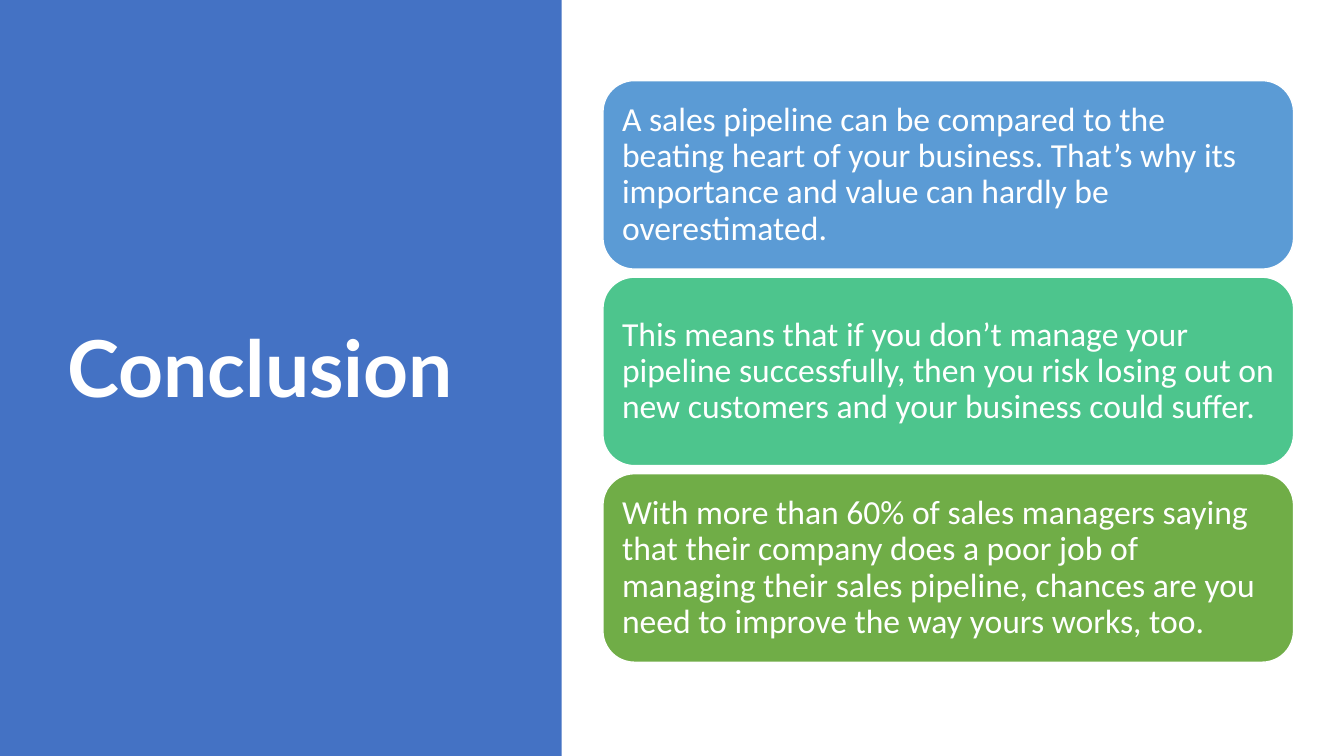
"""Build the conclusion slide: a title panel beside three takeaway cards."""
from dataclasses import dataclass

from pptx import Presentation
from pptx import util as u
from pptx.dml.color import RGBColor
from pptx.enum import shapes, text

COLORS = {
    "panel": "4472C4",
    "blue": "5B9BD5",
    "mint": "4DC58D",
    "green": "70AD47",
    "white": "FFFFFF",
}
CARD_TOP, CARD_HEIGHT, CARD_PITCH = 0.8, 1.87, 1.95


@dataclass
class Card:
    """One takeaway and its fill colour."""
    color: str
    wording: str


CARDS = [
    Card("blue", "A sales pipeline can be compared to the beating heart of your "
         "business. That’s why its importance and value can hardly be "
         "overestimated."),
    Card("mint", "This means that if you don’t manage your pipeline successfully, "
         "then you risk losing out on new customers and your business could "
         "suffer."),
    Card("green", "With more than 60% of sales managers saying that their company "
         "does a poor job of managing their sales pipeline, chances are you "
         "need to improve the way yours works, too."),
]


def rgb(name: str) -> RGBColor:
    """Return the named colour."""
    return RGBColor.from_string(COLORS[name])


def add_box(s, kind, left: float, top: float, width: float, height: float,
            color: str):
    """Add a flat filled shape without an outline."""
    sp = s.shapes.add_shape(kind, u.Inches(left), u.Inches(top),
                            u.Inches(width), u.Inches(height))
    sp.shadow.inherit = False
    sp.fill.solid()
    sp.fill.fore_color.rgb = rgb(color)
    sp.line.fill.background()
    return sp


def write(sp, wording: str, font: str, size: int, bold: bool = False) -> None:
    """Set white, left-aligned, vertically centred text in a shape."""
    tf = sp.text_frame
    tf.text = wording
    tf.word_wrap = True
    tf.auto_size = text.MSO_AUTO_SIZE.NONE
    tf.vertical_anchor = text.MSO_ANCHOR.MIDDLE
    p = tf.paragraphs[0]
    p.alignment = text.PP_ALIGN.LEFT
    p.line_spacing = 0.9
    r = p.runs[0]
    r.font.name = font
    r.font.size = u.Pt(size)
    r.font.bold = bold
    r.font.color.rgb = rgb("white")


def add_title(s, wording: str) -> None:
    """Place the title on its full-height panel."""
    panel = add_box(s, shapes.MSO_SHAPE.RECTANGLE, 0, 0, 5.57, 7.5, "panel")
    title = s.shapes.title
    panel.element.addnext(title.element)
    title.left, title.top = u.Inches(0.57), u.Inches(0.68)
    title.width, title.height = u.Inches(4.16), u.Inches(6.02)
    write(title, wording, "Lato", 56, bold=True)


def add_card(s, card: Card, top: float) -> None:
    """Add one rounded takeaway card."""
    sp = add_box(s, shapes.MSO_SHAPE.ROUNDED_RECTANGLE, 5.98, top, 6.85,
                 CARD_HEIGHT, card.color)
    sp.line.color.rgb = rgb("white")
    sp.line.width = u.Pt(1)
    write(sp, card.wording, "Calibri", 24)
    tf = sp.text_frame
    tf.margin_left = tf.margin_right = u.Inches(0.1)
    tf.margin_top = tf.margin_bottom = u.Inches(0.1)


def main() -> None:
    """Build and save the slide."""
    prs = Presentation()
    prs.slide_width, prs.slide_height = u.Inches(13.33), u.Inches(7.5)
    s = prs.slides.add_slide(prs.slide_layouts[5])
    add_title(s, "Conclusion")
    for i, card in enumerate(CARDS):
        add_card(s, card, CARD_TOP + i * CARD_PITCH)
    prs.save("out.pptx")


main()
